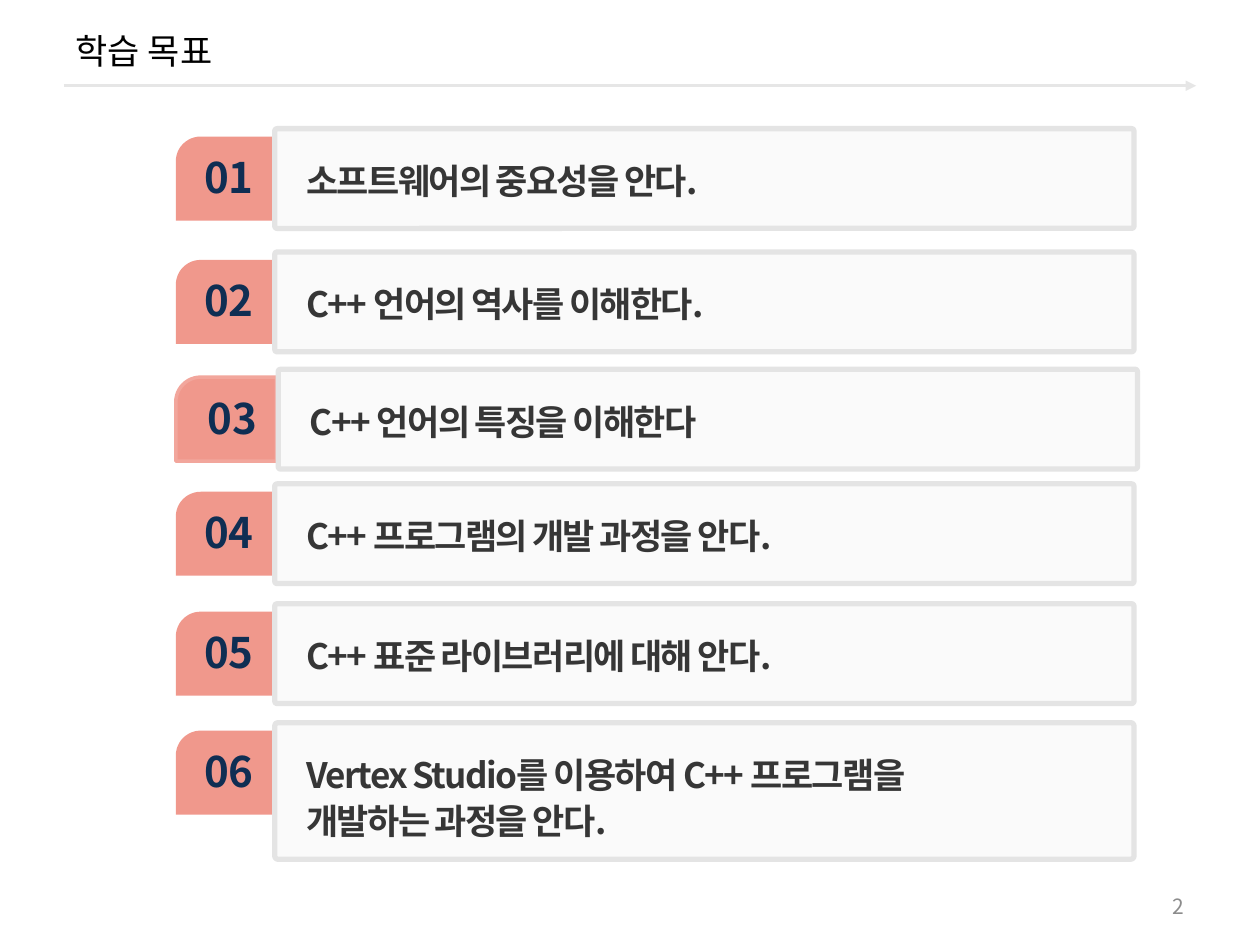
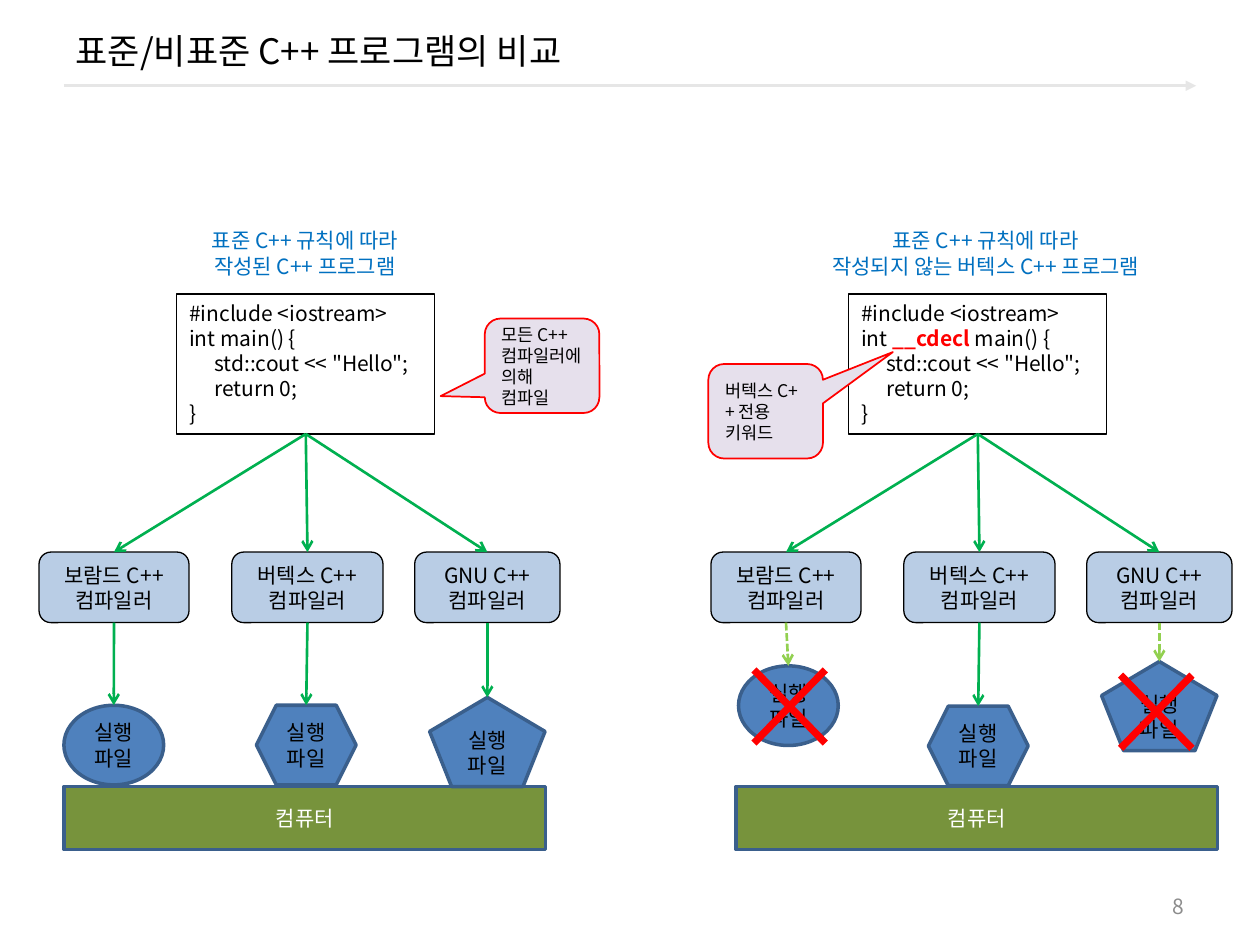
from pptx import Presentation
from pptx.dml.color import RGBColor
from pptx.enum.dml import MSO_LINE
from pptx.enum.shapes import MSO_CONNECTOR, MSO_SHAPE
from pptx.enum.text import MSO_ANCHOR, PP_ALIGN
from pptx.oxml.ns import qn
from pptx.util import Pt
from lxml.etree import SubElement

FONT = "Noto Sans CJK KR"
BLACK, WHITE, RED = "000000", "FFFFFF", "FF0000"
GREEN, LIME = "00B050", "92D050"
SALMON, NAVY, DARK = "F0988C", "0F2E53", "363636"
BLUE, EDGE = "4F81BD", "3A5F8C"
LEFT, CENTER, RIGHT = PP_ALIGN.LEFT, PP_ALIGN.CENTER, PP_ALIGN.RIGHT
TOP, MIDDLE = MSO_ANCHOR.TOP, MSO_ANCHOR.MIDDLE
BOTTOM_SITE, TOP_SITE = 2, 0

GOALS = [  # panel left, panel top, panel height, text
    (157, 73.5, 57, "소프트웨어의 중요성을 안다."),
    (157, 144, 57, "C++ 언어의 역사를 이해한다."),
    (159, 211, 57, "C++ 언어의 특징을 이해한다"),
    (157, 276.5, 57, "C++ 프로그램의 개발 과정을 안다."),
    (157, 345, 57, "C++ 표준 라이브러리에 대해 안다."),
    (157, 413, 78, "Vertex Studio를 이용하여 C++ 프로그램을 개발하는 과정을 안다."),
]
MAKERS = [("보람드 C++", 22.3, 85.7), ("버텍스 C++", 132.5, 86.4),
          ("GNU C++", 237, 83)]
KINDS = [(MSO_SHAPE.OVAL, 57, 45.5), (MSO_SHAPE.HEXAGON, 57, 45.5),
         (MSO_SHAPE.REGULAR_PENTAGON, 66, 51)]


def rgb(code):
    return RGBColor.from_string(code)


def area(x, y, w, h):
    return Pt(x), Pt(y), Pt(w), Pt(h)


def style(para, size, color, align=LEFT, bold=False, pitch=1.2, track=0, tab=0):
    """Format a paragraph; pitch is line height per font size, track in points."""
    para.alignment = align
    para.line_spacing = Pt(size * pitch)
    props = para._p.get_or_add_pPr()
    if tab:
        stops = SubElement(props, qn("a:tabLst"))
        SubElement(stops, qn("a:tab"), pos=str(Pt(tab)), algn="l")
    font = para.font
    font.name, font.size, font.bold = FONT, Pt(size), bold
    font.color.rgb = rgb(color)
    base = props.find(qn("a:defRPr"))
    SubElement(base, qn("a:ea"), typeface=FONT)
    if track:
        base.set("spc", str(track * 100))


def write(shape, lines, size, color, align=LEFT, anchor=TOP, wrap=True, **look):
    """Fill a shape with lines; a line is a string or a list of (text, color)."""
    frame = shape.text_frame
    frame.word_wrap, frame.vertical_anchor = wrap, anchor
    for index, line in enumerate(lines):
        para = frame.add_paragraph() if index else frame.paragraphs[0]
        style(para, size, color, align, **look)
        parts = [(line, None)] if isinstance(line, str) else line
        for words, accent in parts:
            run = para.add_run()
            run.text = words
            if accent:
                run.font.color.rgb = rgb(accent)
                run.font.bold = True


def label(slide, box, lines, size, color, **look):
    write(slide.shapes.add_textbox(*area(*box)), lines, size, color, **look)


def block(slide, kind, box, fill=None, edge=None, width=1, adjust=()):
    shape = slide.shapes.add_shape(kind, *area(*box))
    shape.shadow.inherit = False
    if fill:
        shape.fill.solid()
        shape.fill.fore_color.rgb = rgb(fill)
    else:
        shape.fill.background()
    if edge:
        shape.line.color.rgb = rgb(edge)
        shape.line.width = Pt(width)
    else:
        shape.line.fill.background()
    for index, value in enumerate(adjust):
        shape.adjustments[index] = value
    return shape


def arrow(slide, start, end, color, head="arrow", dash=False):
    """Draw an arrow; each end is a point or a (shape, site) pair."""
    line = slide.shapes.add_connector(MSO_CONNECTOR.STRAIGHT, 0, 0, 0, 0)
    if isinstance(start[0], (int, float)):
        line.begin_x, line.begin_y = Pt(start[0]), Pt(start[1])
    else:
        line.begin_connect(*start)
    if isinstance(end[0], (int, float)):
        line.end_x, line.end_y = Pt(end[0]), Pt(end[1])
    else:
        line.end_connect(*end)
    line.line.color.rgb = rgb(color)
    line.line.width = Pt(1.5)
    if dash:
        line.line.dash_style = MSO_LINE.SQUARE_DOT
    props = line._element.spPr
    SubElement(props.find(qn("a:ln")), qn("a:tailEnd"), type=head)
    SubElement(props, qn("a:effectLst"))


def page(deck, title, number):
    """Add a slide with its title, rule and page number."""
    slide = deck.slides.add_slide(deck.slide_layouts[5])
    arrow(slide, (36.5, 49), (683.5, 49), "E6E6E6", head="triangle")
    head = slide.shapes.title
    head.left, head.top, head.width, head.height = area(36, 5.75, 648, 46)
    write(head, [title], 20, BLACK, anchor=MIDDLE)
    label(slide, (516, 506, 168, 23), [str(number)], 12, "8C8C8C",
          align=RIGHT, anchor=MIDDLE)
    return slide


def goal(slide, number, left, top, height, words):
    tab = block(slide, MSO_SHAPE.SNIP_ROUND_RECTANGLE,
                (100.5, top + 4.5, 57.5, 48), SALMON, adjust=(0.296, 0))
    if number == 3:
        tab.line.color.rgb = rgb("F2A69C")
        tab.line.width = Pt(2)
    label(slide, (left - 47.5, top + 9.5, 42.5, 36), [f"{number:02}"], 24, NAVY,
          align=CENTER, wrap=False, bold=True)
    panel = block(slide, MSO_SHAPE.ROUNDED_RECTANGLE, (left, top, 491, height),
                  "F2F2F2", "E4E4E4", 3, (0.023,))
    tint = panel._element.spPr.find(qn("a:solidFill"))[0]
    SubElement(tint, qn("a:alpha"), val="33000")
    label(slide, (left + 11, top + 11.75, 380, height - 22), [words], 20, DARK,
          bold=True, pitch=1.32, track=-1)


def build(slide, shift, entry, files, failed=()):
    """Draw code, compilers, result files and computer, moved right by shift."""
    code = block(slide, MSO_SHAPE.RECTANGLE, (shift + 101, 168, 147.5, 80),
                 edge=BLACK, width=0.75)
    write(code, ["#include <iostream>", entry, '\tstd::cout << "Hello";',
                 "\treturn 0;", "}"], 12, BLACK, tab=14.4)
    block_pc = block(slide, MSO_SHAPE.RECTANGLE, (shift + 36.7, 449.5, 275, 36),
                     "77933C", EDGE, 2)
    write(block_pc, ["컴퓨터"], 12, WHITE, CENTER, MIDDLE)
    for index, (name, left, width) in enumerate(MAKERS):
        maker = block(slide, MSO_SHAPE.ROUNDED_RECTANGLE,
                      (shift + left, 315.5, width, 40.3), "B9CDE5", BLACK, 0.75)
        write(maker, [name, "컴파일러"], 12, BLACK, CENTER, MIDDLE)
        arrow(slide, (code, BOTTOM_SITE), (maker, TOP_SITE), GREEN)
        kind, wide, high = KINDS[index]
        mid, top = files[index]
        result = block(slide, kind, (shift + mid - wide / 2, top, wide, high),
                       BLUE, EDGE, 2)
        write(result, ["실행파일"], 12, BLACK, CENTER, MIDDLE)
        lost = index in failed
        arrow(slide, (maker, BOTTOM_SITE), (shift + mid, top),
              LIME if lost else GREEN, dash=lost)


def caption(slide, mid, lines):
    label(slide, (mid - 107, 126.75, 214, 36), lines, 12, "0070C0",
          align=CENTER, wrap=False)


def cross(slide, left, top):
    block(slide, MSO_SHAPE.MATH_MULTIPLY, (left, top, 78.5, 80.5), RED,
          adjust=(0.053,))


def callout(slide, left, top, tip, lines):
    shape = block(slide, MSO_SHAPE.ROUNDED_RECTANGULAR_CALLOUT,
                  (left, top, 65.5, 54), "E6E0EC", RED, 1, (*tip, 0.167))
    write(shape, lines, 10, BLACK, anchor=MIDDLE)


def main():
    deck = Presentation()
    deck.slide_width, deck.slide_height = Pt(720), Pt(540)

    slide = page(deck, "학습 목표", 2)
    for number, item in enumerate(GOALS, 1):
        goal(slide, number, *item)

    slide = page(deck, "표준/비표준 C++ 프로그램의 비교", 8)
    rule = "표준 C++ 규칙에 따라"
    caption(slide, 174.25, [rule, "작성된 C++ 프로그램"])
    build(slide, 0, "int main() {", [(65, 403), (175, 403), (278.5, 398.5)])
    caption(slide, 563.25, [rule, "작성되지 않는 버텍스 C++ 프로그램"])
    build(slide, 384, [("int ", None), ("__cdecl ", RED), ("main() {", None)],
          [(66.5, 380.5), (175, 403.5), (278.5, 378)], failed=(0, 2))
    cross(slide, 412, 363.5)
    cross(slide, 621.5, 366.5)
    callout(slide, 277, 182, (-0.885, 0.321), ["모든 C++ 컴파일러에 의해 컴파일"])
    callout(slide, 404.75, 208, (1.11, -0.627), ["버텍스 C++ 전용", "키워드"])

    deck.save("out.pptx")


if __name__ == "__main__":
    main()
